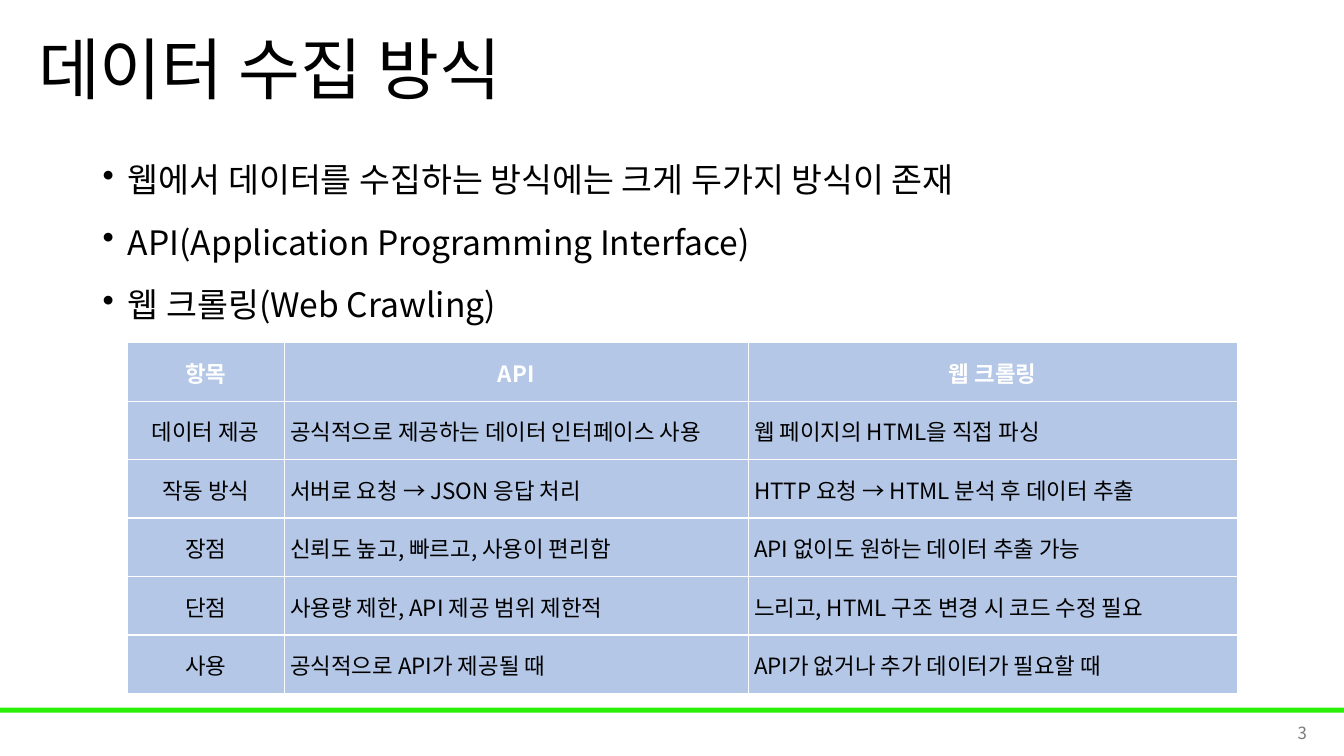
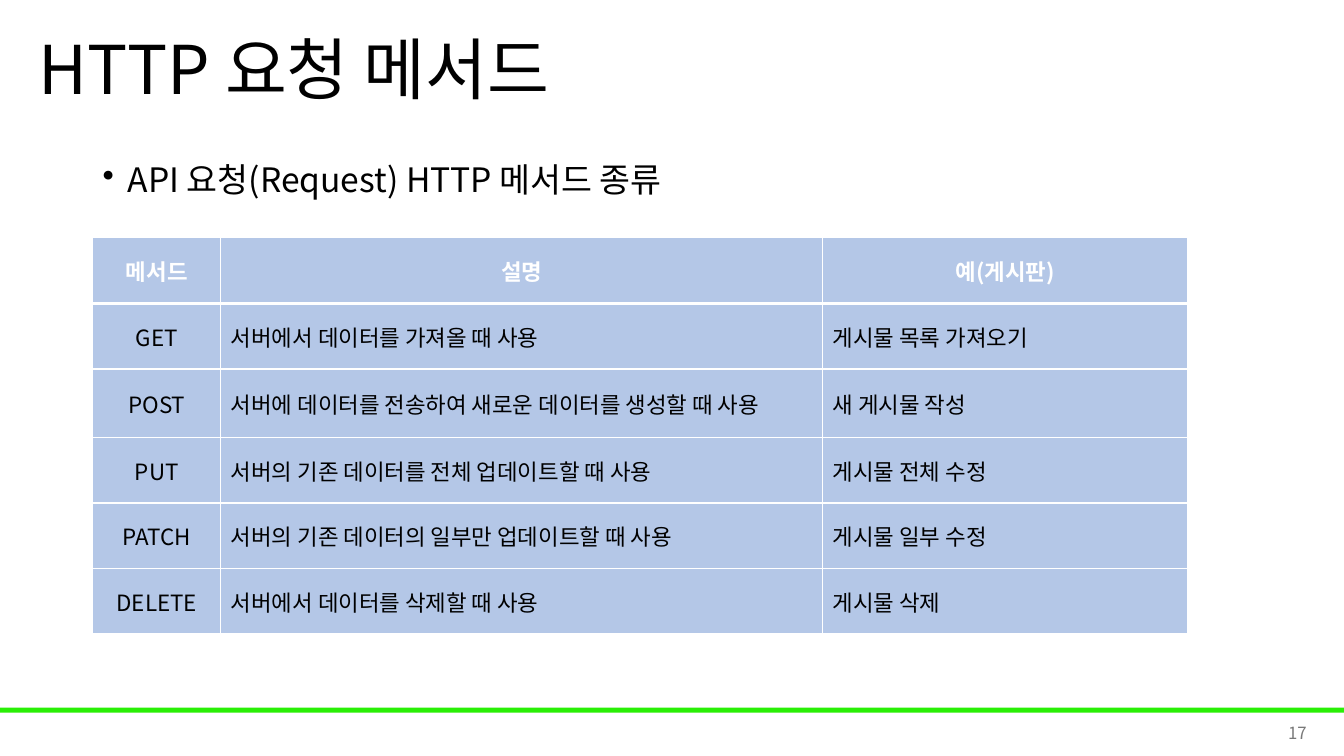
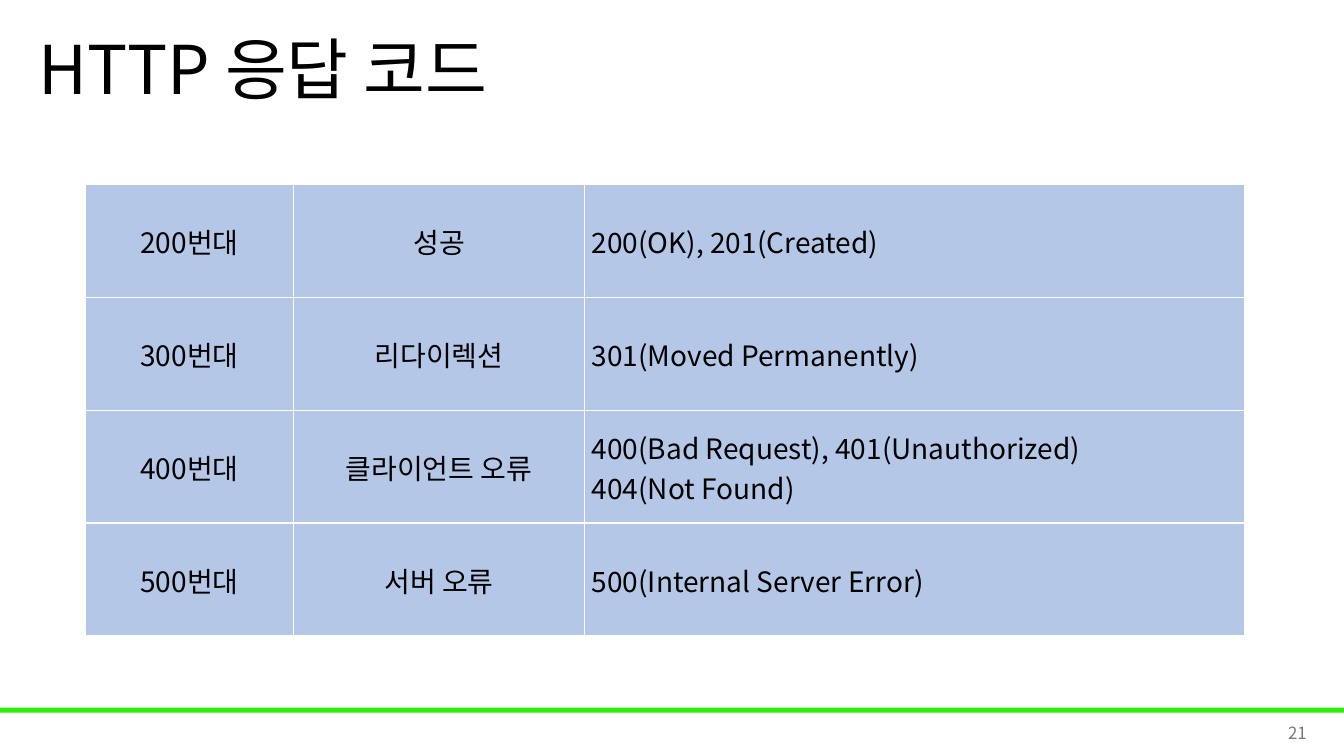
"""Build three slides on web data collection and HTTP."""
from dataclasses import dataclass

from lxml.etree import SubElement
from pptx import Presentation
from pptx.dml.color import RGBColor
from pptx.enum.shapes import MSO_SHAPE
from pptx.enum.text import MSO_ANCHOR, PP_ALIGN
from pptx.oxml import parse_xml
from pptx.oxml.ns import nsdecls, qn
from pptx.presentation import Presentation as Deck
from pptx.slide import Slide
from pptx.table import _Cell as Cell
from pptx.text.text import TextFrame, _Paragraph as Para
from pptx.util import Inches, Pt

FONT = "Noto Sans CJK KR"
BLACK = RGBColor(0x00, 0x00, 0x00)
WHITE = RGBColor(0xFF, 0xFF, 0xFF)
GRAY = RGBColor(0x79, 0x79, 0x79)
GREEN = RGBColor(0x2A, 0xEF, 0x06)
BLUE = RGBColor(0xB4, 0xC7, 0xE7)


@dataclass(frozen=True)
class Grid:
    left: float
    top: float
    cols: tuple[float, ...]
    heights: tuple[float, ...]
    rows: tuple[tuple[str, ...], ...]
    size: int = 16
    head: bool = True
    centred: int = 1
    pad: float = 0.06
    edge: float = 0.01
    rule: int = 1


@dataclass(frozen=True)
class Page:
    number: int
    title: str
    points: tuple[str, ...]
    grid: Grid


PAGES = (
    Page(3, "데이터 수집 방식", (
        "웹에서 데이터를 수집하는 방식에는 크게 두가지 방식이 존재",
        "API(Application Programming Interface)",
        "웹 크롤링(Web Crawling)",
    ), Grid(1.26, 3.4, (1.56, 4.6, 4.85), (0.58,) * 6, (
        ("항목", "API", "웹 크롤링"),
        ("데이터 제공", "공식적으로 제공하는 데이터 인터페이스 사용",
         "웹 페이지의 HTML을 직접 파싱"),
        ("작동 방식", "서버로 요청 → JSON 응답 처리",
         "HTTP 요청 → HTML 분석 후 데이터 추출"),
        ("장점", "신뢰도 높고, 빠르고, 사용이 편리함",
         "API 없이도 원하는 데이터 추출 가능"),
        ("단점", "사용량 제한, API 제공 범위 제한적",
         "느리고, HTML 구조 변경 시 코드 수정 필요"),
        ("사용", "공식적으로 API가 제공될 때",
         "API가 없거나 추가 데이터가 필요할 때"),
    ))),
    Page(17, "HTTP 요청 메서드", ("API 요청(Request) HTTP 메서드 종류",), Grid(
        0.92, 2.36, (1.27, 5.97, 3.62),
        (0.65, 0.65, 0.68, 0.65, 0.65, 0.65), (
            ("메서드", "설명", "예(게시판)"),
            ("GET", "서버에서 데이터를 가져올 때 사용", "게시물 목록 가져오기"),
            ("POST", "서버에 데이터를 전송하여 새로운 데이터를 생성할 때 사용",
             "새 게시물 작성"),
            ("PUT", "서버의 기존 데이터를 전체 업데이트할 때 사용",
             "게시물 전체 수정"),
            ("PATCH", "서버의 기존 데이터의 일부만 업데이트할 때 사용",
             "게시물 일부 수정"),
            ("DELETE", "서버에서 데이터를 삭제할 때 사용", "게시물 삭제"),
        ), pad=0.1, edge=0.1, rule=3)),
    Page(21, "HTTP 응답 코드", (), Grid(
        0.85, 1.83, (2.06, 2.89, 6.54), (1.12,) * 4, (
            ("200번대", "성공", "200(OK), 201(Created)"),
            ("300번대", "리다이렉션", "301(Moved Permanently)"),
            ("400번대", "클라이언트 오류",
             "400(Bad Request), 401(Unauthorized)\n404(Not Found)"),
            ("500번대", "서버 오류", "500(Internal Server Error)"),
        ), size=20, head=False, centred=2, pad=0.07)),
)


def style(para: Para, size: int, color: RGBColor, bold: bool = False) -> None:
    font = para.font
    font.size, font.bold, font.name = Pt(size), bold, FONT
    font.color.rgb = color
    props = para._p.pPr.find(qn("a:defRPr"))
    SubElement(props, qn("a:ea")).set("typeface", FONT)


def add_box(slide: Slide, left: float, top: float, width: float,
            height: float, anchor: MSO_ANCHOR = MSO_ANCHOR.MIDDLE) -> TextFrame:
    box = slide.shapes.add_textbox(
        Inches(left), Inches(top), Inches(width), Inches(height))
    frame = box.text_frame
    frame.word_wrap = True
    frame.vertical_anchor = anchor
    return frame


def add_frame(slide: Slide, page: Page) -> None:
    band = slide.shapes.add_shape(
        MSO_SHAPE.RECTANGLE, 0, Inches(7.02), Inches(13.33), Inches(0.05))
    band.shadow.inherit = False
    band.fill.solid()
    band.fill.fore_color.rgb = GREEN
    band.line.fill.background()

    title = add_box(slide, 0.28, 0, 11.5, 1.45).paragraphs[0]
    title.text = page.title
    title.line_spacing = 0.9
    style(title, 48, BLACK)

    number = add_box(slide, 10.06, 7.07, 3, 0.4).paragraphs[0]
    number.text = str(page.number)
    number.alignment = PP_ALIGN.RIGHT
    style(number, 12, GRAY)


def add_points(slide: Slide, points: tuple[str, ...]) -> None:
    frame = add_box(slide, 0.92, 1.45, 11.5, 5.31, MSO_ANCHOR.TOP)
    for i, text in enumerate(points):
        para = frame.add_paragraph() if i else frame.paragraphs[0]
        para.text = text
        para.line_spacing = 1.2
        if i:
            para.space_before = Pt(10)
        props = para._p.get_or_add_pPr()
        props.set("marL", str(Inches(0.25)))
        props.set("indent", str(Inches(-0.25)))
        SubElement(props, qn("a:buChar")).set("char", "•")
        style(para, 24, BLACK)


def add_lines(cell: Cell, lower: int) -> None:
    props = cell._tc.get_or_add_tcPr()
    for i, (side, width) in enumerate(
            (("L", 1), ("R", 1), ("T", 1), ("B", lower))):
        props.insert(i, parse_xml(
            f'<a:ln{side} {nsdecls("a")} w="{Pt(width)}"><a:solidFill>'
            f'<a:srgbClr val="{WHITE}"/></a:solidFill></a:ln{side}>'))


def add_grid(slide: Slide, grid: Grid) -> None:
    table = slide.shapes.add_table(
        len(grid.rows), len(grid.cols), Inches(grid.left), Inches(grid.top),
        Inches(sum(grid.cols)), Inches(sum(grid.heights))).table
    table.first_row = grid.head
    table.horz_banding = False
    for col, width in zip(table.columns, grid.cols):
        col.width = Inches(width)
    for r, (texts, height) in enumerate(zip(grid.rows, grid.heights)):
        table.rows[r].height = Inches(height)
        head = grid.head and r == 0
        for c, text in enumerate(texts):
            cell = table.cell(r, c)
            centre = head or c < grid.centred
            cell.fill.solid()
            cell.fill.fore_color.rgb = BLUE
            cell.vertical_anchor = MSO_ANCHOR.MIDDLE
            cell.margin_left = Inches(grid.edge if centre else grid.pad)
            cell.margin_right = Inches(grid.edge)
            cell.margin_top, cell.margin_bottom = Inches(0.01), 0
            add_lines(cell, grid.rule if head else 1)
            para = cell.text_frame.paragraphs[0]
            para.text = text
            para.alignment = PP_ALIGN.CENTER if centre else PP_ALIGN.LEFT
            style(para, grid.size, WHITE if head else BLACK, head)


def add_page(deck: Deck, page: Page) -> None:
    slide = deck.slides.add_slide(deck.slide_layouts[6])
    add_frame(slide, page)
    if page.points:
        add_points(slide, page.points)
    add_grid(slide, page.grid)


def main() -> None:
    deck = Presentation()
    deck.slide_width, deck.slide_height = Inches(13.33), Inches(7.5)
    for page in PAGES:
        add_page(deck, page)
    deck.save("out.pptx")


if __name__ == "__main__":
    main()
